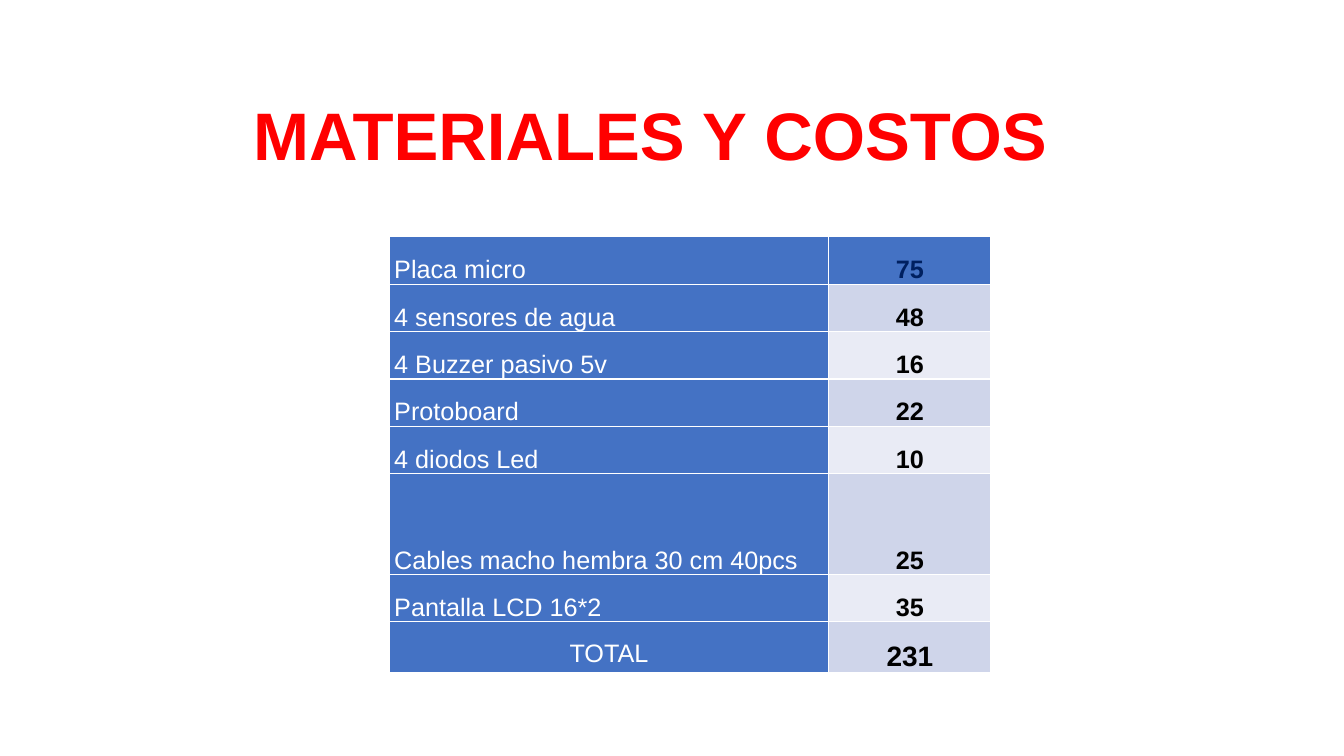
from dataclasses import dataclass

from lxml import etree
from pptx import Presentation
from pptx import util as u
from pptx.dml.color import RGBColor
from pptx.enum import text
from pptx.oxml import ns

FONT = "Arial"
RED = RGBColor(0xFF, 0x00, 0x00)
WHITE = RGBColor(0xFF, 0xFF, 0xFF)
BLACK = RGBColor(0x00, 0x00, 0x00)
NAVY = RGBColor(0x00, 0x20, 0x60)
BLUE = RGBColor(0x44, 0x72, 0xC4)
BANDS = (RGBColor(0xE9, 0xEB, 0xF5), RGBColor(0xCF, 0xD5, 0xEA))

COLUMN_WIDTHS = (4.36, 1.61)
ALIGN = text.PP_ALIGN
ANCHOR = text.MSO_ANCHOR


@dataclass
class Material:
    name: str
    cost: int
    height: float = 0.47


MATERIALS = [
    Material("Placa micro", 75),
    Material("4 sensores de agua", 48),
    Material("4 Buzzer pasivo 5v", 16),
    Material("Protoboard", 22),
    Material("4 diodos Led", 10),
    Material("Cables macho hembra 30 cm 40pcs", 25, height=1),
    Material("Pantalla LCD 16*2", 35),
]
ROWS = MATERIALS + [Material("TOTAL", sum(item.cost for item in MATERIALS))]


def write_text(frame, content: str, *, size: int, color: RGBColor, bold: bool = False,
               align=ALIGN.CENTER, spacing: float = 1.5) -> None:
    paragraph = frame.paragraphs[0]
    paragraph.alignment = align
    paragraph.line_spacing = spacing
    run = paragraph.add_run()
    run.text = content
    run.font.name = FONT
    run.font.size = u.Pt(size)
    run.font.bold = bold
    run.font.color.rgb = color


def add_borders(cell, color: RGBColor, width: float) -> None:
    properties = cell._tc.get_or_add_tcPr()
    for side in ("L", "R", "T", "B"):
        line = etree.SubElement(properties, ns.qn(f"a:ln{side}"), w=str(u.Pt(width)))
        fill = etree.SubElement(line, ns.qn("a:solidFill"))
        etree.SubElement(fill, ns.qn("a:srgbClr"), val=str(color))


def format_cell(cell, fill: RGBColor, anchor) -> None:
    # Borders come before the fill in the cell properties
    add_borders(cell, WHITE, 1)
    cell.fill.solid()
    cell.fill.fore_color.rgb = fill
    cell.vertical_anchor = anchor
    cell.margin_left = cell.margin_right = u.Inches(0.05)
    cell.margin_top = cell.margin_bottom = 0


# Title
def add_title(slide) -> None:
    box = slide.shapes.add_textbox(u.Inches(0.7), u.Inches(0.65), u.Inches(11.5), u.Inches(1.45))
    box.text_frame.word_wrap = True
    box.text_frame.vertical_anchor = ANCHOR.MIDDLE
    write_text(box.text_frame, "MATERIALES Y COSTOS", size=48, color=RED, bold=True, spacing=0.9)


# Table of materials with their costs and the total
def add_cost_table(slide) -> None:
    table = slide.shapes.add_table(
        len(ROWS), len(COLUMN_WIDTHS), u.Inches(3.86), u.Inches(2.35),
        u.Inches(sum(COLUMN_WIDTHS)), u.Inches(sum(row.height for row in ROWS))).table
    table.first_row = table.horz_banding = False
    for column, width in zip(table.columns, COLUMN_WIDTHS):
        column.width = u.Inches(width)

    for index, material in enumerate(ROWS):
        is_first, is_total = index == 0, index == len(ROWS) - 1
        table.rows[index].height = u.Inches(material.height)
        name_cell, cost_cell = table.cell(index, 0), table.cell(index, 1)

        format_cell(name_cell, BLUE, ANCHOR.MIDDLE if is_total else ANCHOR.BOTTOM)
        write_text(name_cell.text_frame, material.name, size=18, color=WHITE,
                   align=ALIGN.CENTER if is_total else ALIGN.JUSTIFY)

        format_cell(cost_cell, BLUE if is_first else BANDS[index % 2], ANCHOR.BOTTOM)
        write_text(cost_cell.text_frame, str(material.cost), size=20 if is_total else 18,
                   color=NAVY if is_first else BLACK, bold=True)


def main() -> None:
    presentation = Presentation()
    presentation.slide_width = u.Inches(13.33)
    presentation.slide_height = u.Inches(7.5)
    slide = presentation.slides.add_slide(presentation.slide_layouts[6])
    add_title(slide)
    add_cost_table(slide)
    presentation.save("out.pptx")


if __name__ == "__main__":
    main()
